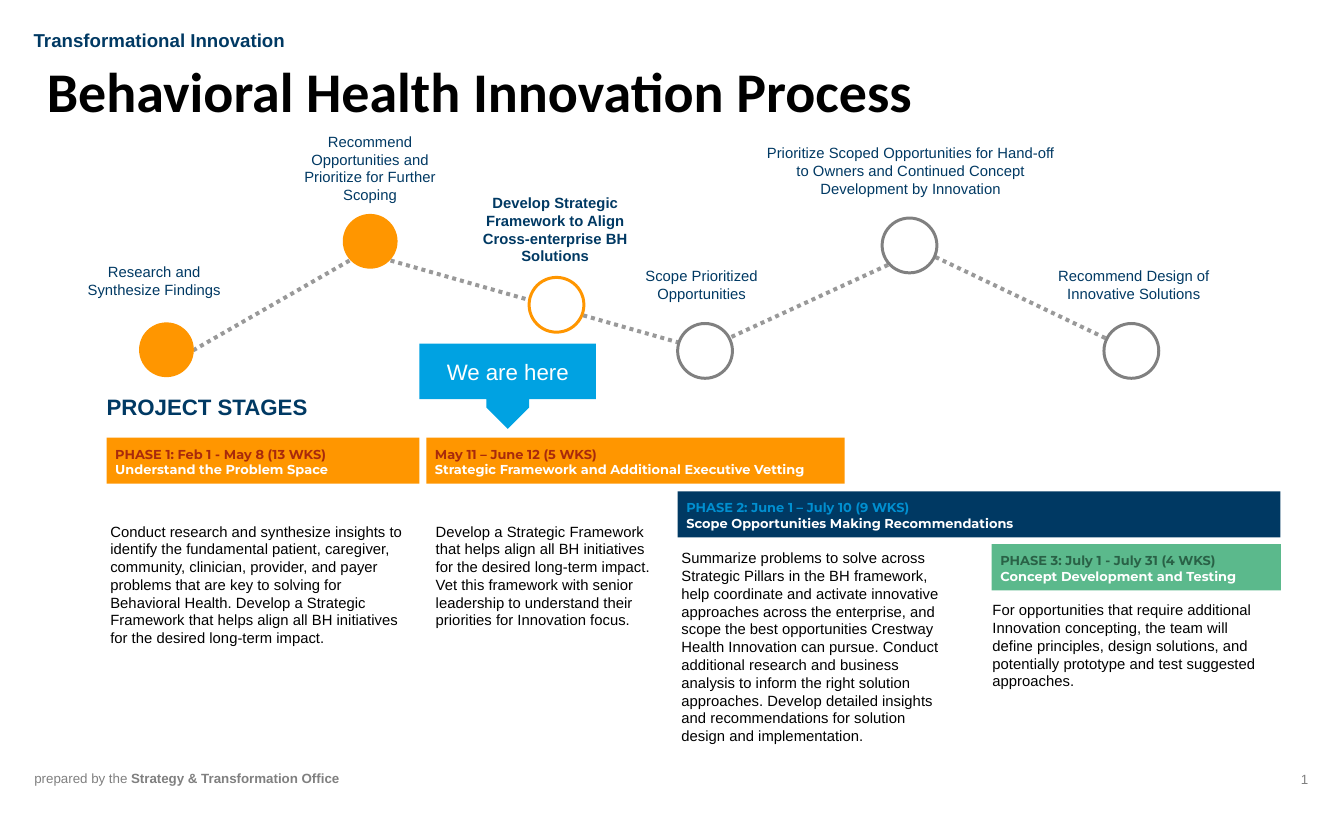
from lxml.etree import SubElement
from pptx import Presentation
from pptx.dml.color import RGBColor
from pptx.enum.dml import MSO_LINE
from pptx.enum.shapes import MSO_CONNECTOR, MSO_SHAPE
from pptx.enum.text import MSO_ANCHOR, PP_ALIGN
from pptx.oxml.ns import qn
from pptx.util import Cm, Pt

NAVY, ORANGE, GRAY, WHITE = "003963", "FF9600", "808080", "FFFFFF"
RUST, BLACK = "A82A0C", "000000"
PAD = (0.25, 0.13, 0.25, 0.13)

PHASES = [
    (2.82, 11.58, 8.28, ORANGE, RUST,
     "PHASE 1: Feb 1 - May 8 (13 WKS)", "Understand the Problem Space"),
    (17.93, 13, 15.95, NAVY, "008FD0",
     "PHASE 2: June 1 – July 10 (9 WKS)",
     "Scope Opportunities Making Recommendations"),
    (26.24, 14.4, 7.65, "5BB98C", "296146",
     "PHASE 3: July 1 - July 31 (4 WKS)", "Concept Development and Testing"),
    (11.28, 11.58, 11.07, ORANGE, RUST,
     "May 11 – June 12 (5 WKS)",
     "Strategic Framework and Additional Executive Vetting"),
]

DETAILS = [
    ((2.67, 13.69, 8.43, 3.58),
     "Conduct research and synthesize insights to identify the fundamental "
     "patient, caregiver, community, clinician, provider, and payer problems "
     "that are key to solving for Behavioral Health. Develop a Strategic "
     "Framework that helps align all BH initiatives for the desired "
     "long-term impact."),
    ((11.28, 13.69, 6.5, 3.1),
     "Develop a Strategic Framework that helps align all BH initiatives for "
     "the desired long-term impact. Vet this framework with senior "
     "leadership to understand their priorities for Innovation focus."),
    ((17.78, 14.4, 7.67, 5.49),
     "Summarize problems to solve across Strategic Pillars in the BH "
     "framework, help coordinate and activate innovative approaches across "
     "the enterprise, and scope the best opportunities Crestway Health "
     "Innovation can pursue. Conduct additional research and business "
     "analysis to inform the right solution approaches. Develop detailed "
     "insights and recommendations for solution design and implementation."),
    ((26.01, 15.77, 7.85, 2.64),
     "For opportunities that require additional Innovation concepting, the "
     "team will define principles, design solutions, and potentially "
     "prototype and test suggested approaches."),
]

PATHS = [
    (5.11, 9.27, 9.27, 6.88),
    (17.98, 9.07, 10.29, 6.88),
    (18.97, 9.09, 24.1, 6.73),
    (29.82, 9.22, 24.33, 6.6),
]

STEPS = [
    (3.68, 8.53, ORANGE, None, (1.63, 6.83, 4.9, 1.22), False,
     "Research and Synthesize Findings"),
    (9.07, 5.66, ORANGE, None, (7.34, 3.38, 4.9, 2.16), False,
     "Recommend Opportunities and Prioritize for Further Scoping"),
    (14, 7.34, WHITE, ORANGE, (12.24, 5, 4.9, 2.16), True,
     "Develop Strategic Framework to Align Cross-enterprise BH Solutions"),
    (17.93, 8.56, WHITE, GRAY, (15.72, 6.93, 5.69, 1.22), False,
     "Scope Prioritized Opportunities"),
    (23.34, 5.77, WHITE, GRAY, (20.02, 3.68, 8.15, 1.68), False,
     "Prioritize Scoped Opportunities for Hand-off to Owners and Continued "
     "Concept Development by Innovation"),
    (29.21, 8.56, WHITE, GRAY, (27.18, 6.93, 5.64, 1.22), False,
     "Recommend Design of Innovative Solutions"),
]


def paint(form, color):
    """Set a solid color on a fill or font."""
    fill = form.fill
    fill.solid()
    fill.fore_color.rgb = RGBColor.from_string(color)


def write(para, text, size=11.1, color=BLACK, bold=False, font="Arial",
          align=PP_ALIGN.LEFT, space=None):
    """Add one formatted run to a paragraph."""
    para.alignment = align
    if space:
        para.line_spacing = space
    run = para.add_run()
    run.text = text
    run.font.size = Pt(size)
    run.font.name = font
    run.font.bold = bold
    paint(run.font, color)


def frame(shape, pad=PAD, anchor=MSO_ANCHOR.TOP):
    """Prepare a text frame and return its first paragraph."""
    body = shape.text_frame
    body.word_wrap = True
    body.vertical_anchor = anchor
    (body.margin_left, body.margin_top,
     body.margin_right, body.margin_bottom) = map(Cm, pad)
    return body.paragraphs[0]


def label(slide, box, text, pad=PAD, anchor=MSO_ANCHOR.TOP, **style):
    """Add a text box and return its paragraph."""
    shape = slide.shapes.add_textbox(*map(Cm, box))
    para = frame(shape, pad, anchor)
    write(para, text, **style)
    return para


def block(slide, kind, box, fill, edge=None):
    """Add a flat preset shape."""
    shape = slide.shapes.add_shape(kind, *map(Cm, box))
    shape.shadow.inherit = False
    paint(shape, fill)
    if edge:
        paint(shape.line, edge)
        shape.line.width = Pt(2.25)
    else:
        shape.line.fill.background()
    return shape


def phase(slide, left, top, width, fill, ink, dates, name):
    """Add a phase bar with its dates and name."""
    bar = block(slide, MSO_SHAPE.RECTANGLE, (left, top, width, 1.22), fill)
    style = dict(size=9.7, bold=True, font="Montserrat")
    write(frame(bar, (0.23,) * 4), dates, color=ink, **style)
    write(bar.text_frame.add_paragraph(), name, color=WHITE, **style)


def link(slide, ends):
    """Add a dotted line between two steps."""
    line = slide.shapes.add_connector(MSO_CONNECTOR.STRAIGHT, *map(Cm, ends))
    paint(line.line, "999999")
    line.line.width = Pt(3)
    line.line.dash_style = MSO_LINE.ROUND_DOT
    SubElement(line.element.spPr, qn("a:effectLst"))


def step(slide, left, top, fill, edge, box, bold, text):
    """Add a step circle with its label."""
    block(slide, MSO_SHAPE.OVAL, (left, top, 1.45, 1.45), fill, edge)
    label(slide, box, text, color=NAVY, bold=bold, align=PP_ALIGN.CENTER)


def marker(slide):
    """Add the callout for the current step."""
    shape = block(slide, MSO_SHAPE.DOWN_ARROW_CALLOUT,
                  (11.1, 9.09, 4.67, 2.26), "00A2E2")
    for spot, value in enumerate((0.5, 0.25, 0.25, 0.65)):
        shape.adjustments[spot] = value
    write(frame(shape, anchor=MSO_ANCHOR.MIDDLE), "We are here",
          size=16.7, color=WHITE, align=PP_ALIGN.CENTER)


def main():
    """Build and save the slide."""
    deck = Presentation()
    deck.slide_width, deck.slide_height = Cm(35.56), Cm(21.59)
    slide = deck.slides.add_slide(deck.slide_layouts[6])
    label(slide, (34.11, 20.27, 0.81, 0.69), "1", size=10, color=GRAY,
          align=PP_ALIGN.CENTER)
    foot = label(slide, (0.66, 20.24, 9.42, 0.69), "prepared by the ",
                 size=10, color=GRAY)
    write(foot, "Strategy & Transformation Office", size=10, color=GRAY,
          bold=True)
    label(slide, (0.64, 0.64, 7.42, 0.86), "Transformational Innovation",
          size=14, color=NAVY, bold=True)
    label(slide, (1.24, 1.42, 33.2, 2.18),
          "Behavioral Health Innovation Process", pad=(0, 0.13, 0.25, 0.13),
          anchor=MSO_ANCHOR.MIDDLE, size=42, bold=True, font="Calibri",
          space=0.9)
    label(slide, (2.82, 10.41, 13.74, 0.81), "PROJECT STAGES",
          pad=(0,) * 4, size=16.7, color=NAVY, bold=True)
    for item in PHASES:
        phase(slide, *item)
    for box, text in DETAILS:
        label(slide, box, text)
    for ends in PATHS:
        link(slide, ends)
    for item in STEPS:
        step(slide, *item)
    marker(slide)
    deck.save("out.pptx")


if __name__ == "__main__":
    main()
